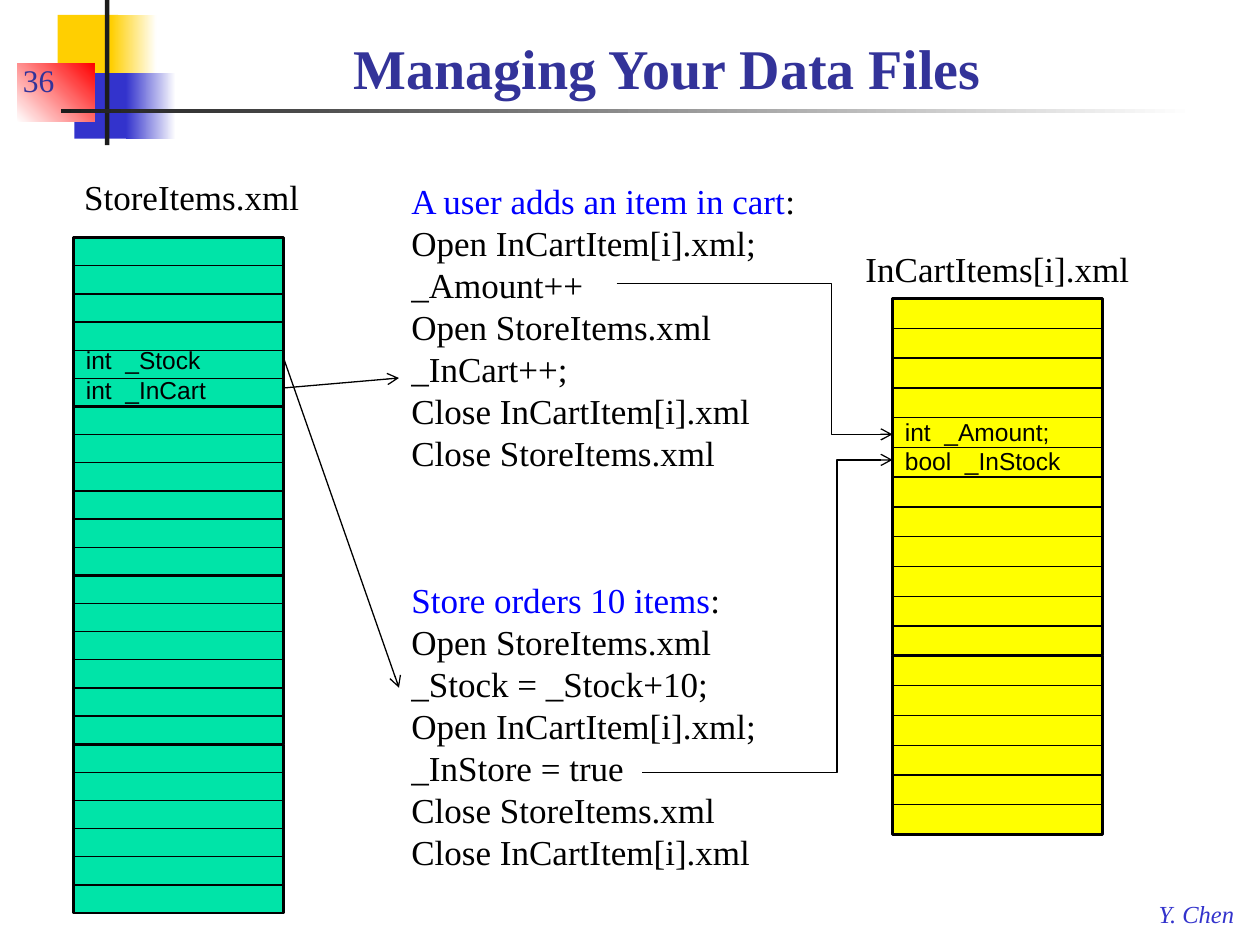
"""Build a slide on how store and cart data files are updated together."""
from lxml.etree import SubElement
from pptx import Presentation
from pptx.dml.color import RGBColor
from pptx.enum.shapes import MSO_CONNECTOR, MSO_SHAPE
from pptx.enum.text import MSO_ANCHOR, PP_ALIGN
from pptx.oxml.ns import qn
from pptx.util import Pt

THEME = {
    "serif": "Times New Roman", "sans": "Arial",
    "title": 32, "body": 20, "number": 18, "small": 14,
    "ink": "000000", "navy": "333399", "blue": "3333CC", "link": "0000FF",
    "gold": "FFCF01", "red": "FF0000", "dark": "1C1C1C", "white": "FFFFFF",
    "green": "00E4A8", "yellow": "FFFF00", "edge": 1.5, "rule": 0.75,
}
DECOR = [
    ((33, 8.5, 34.5, 37.5), ["gold"], 0),
    ((63.5, 8.5, 26, 37.5), ["gold", "white"], 0),
    ((42.5, 41.8, 33, 37.5), ["blue"], 0),
    ((72, 41.8, 28.5, 37.5), ["blue", "white"], 0),
    ((10, 36.2, 44, 33.5), ["white", "red"], 45),
    ((60, 0, 2.5, 83), ["dark"], 0),
    ((34.8, 62.3, 648, 2.2), ["dark", "white"], 0),
]
TITLE = "Managing Your Data Files"
STACKS = [
    {"left": 42, "top": 135.8, "high": 96.5, "count": 4, "fill": "green"},
    {"left": 510, "top": 170.6, "high": 102.1, "count": 3, "fill": "yellow"},
]
WIDTH, ROWS = 120, 6
FIELDS = [
    ((42, 193.7, WIDTH, 44), ["int  _Stock", "int  _InCart"]),
    ((510, 234.7, WIDTH, 41), ["int  _Amount;", "bool  _InStock"]),
]
STEPS = [
    ((228, 99, 235.5, 177), [
        [("A user adds an item in cart", "link"), (":", "ink")],
        "Open InCartItem[i].xml;", "_Amount++", "Open StoreItems.xml",
        "_InCart++;", "Close InCartItem[i].xml", "Close StoreItems.xml"]),
    ((228, 327, 212.5, 177), [
        [("Store orders 10 items", "link"), (":", "ink")],
        "Open StoreItems.xml", "_Stock = _Stock+10;", "Open InCartItem[i].xml;",
        "_InStore = true", "Close StoreItems.xml", "Close InCartItem[i].xml"]),
]
NAMES = [
    ((41, 96.5, 143.5, 31.5), "StoreItems.xml", PP_ALIGN.LEFT),
    ((487, 138, 166, 31.5), "InCartItems[i].xml", PP_ALIGN.CENTER),
]
ARROWS = [((162, 221.7), (228, 216)), ((162, 204.5), (228, 393))]
BENDS = [
    [(367, 441.3), (478.3, 441.3), (478.3, 262.8), (510, 262.8)],
    [(352.3, 162), (475, 162), (475, 248.2), (510, 248.2)],
]


def color(name):
    return RGBColor.from_string(THEME[name])


def lengths(values):
    return [Pt(v) for v in values]


def write(frame, lines, size="body", font="serif", ink="ink", bold=False,
          italic=False, align=PP_ALIGN.LEFT, anchor=MSO_ANCHOR.TOP, wrap=False):
    frame.word_wrap = wrap
    frame.vertical_anchor = anchor
    for i, line in enumerate(lines):
        para = frame.add_paragraph() if i else frame.paragraphs[0]
        para.alignment, para.line_spacing = align, 1.0
        for text, tone in [(line, ink)] if isinstance(line, str) else line:
            run = para.add_run()
            run.text = text
            run.font.name, run.font.size = THEME[font], Pt(THEME[size])
            run.font.bold, run.font.italic = bold, italic
            run.font.color.rgb = color(tone)


def label(slide, box, lines, **form):
    write(slide.shapes.add_textbox(*lengths(box)).text_frame, lines, **form)


def block(slide, box, tones, angle=0, edge=False):
    shape = slide.shapes.add_shape(MSO_SHAPE.RECTANGLE, *lengths(box))
    shape.shadow.inherit = False
    if len(tones) == 1:
        shape.fill.solid()
        shape.fill.fore_color.rgb = color(tones[0])
    else:
        shape.fill.gradient()
        shape.fill.gradient_angle = angle
        for stop, tone in zip(shape.fill.gradient_stops, tones):
            stop.color.rgb = color(tone)
    if edge:
        stroke(shape, "edge")
    else:
        shape.line.fill.background()


def stroke(shape, width, arrow=False):
    shape.line.color.rgb = color("ink")
    shape.line.width = Pt(THEME[width])
    if arrow:
        line = shape._element.spPr.find(qn("a:ln"))
        SubElement(line, qn("a:tailEnd"), type="arrow")


def link(slide, start, end, arrow=False):
    line = slide.shapes.add_connector(MSO_CONNECTOR.STRAIGHT, *lengths(start + end))
    stroke(line, "rule", arrow)
    SubElement(line._element.spPr, qn("a:effectLst"))


def bend(slide, points):
    first, *rest = [tuple(lengths(p)) for p in points]
    form = slide.shapes.build_freeform(*first)
    form.add_line_segments(rest, close=False)
    shape = form.convert_to_shape()
    shape.shadow.inherit = False
    shape.fill.background()
    stroke(shape, "rule", arrow=True)


def stack(slide, left, top, high, count, fill):
    for part in range(count):
        y = top + part * high
        block(slide, (left, y, WIDTH, high), [fill], edge=True)
        for row in range(1, ROWS):
            level = y + row * high / ROWS
            link(slide, (left, level), (left + WIDTH, level))


def main():
    deck = Presentation()
    deck.slide_width, deck.slide_height = Pt(720), Pt(540)
    slide = deck.slides.add_slide(deck.slide_layouts[5])
    for box, tones, angle in DECOR:
        block(slide, box, tones, angle)
    title = slide.shapes.title
    title.left, title.top, title.width, title.height = lengths((195, 12.2, 519, 49))
    write(title.text_frame, [TITLE], size="title", ink="navy", bold=True,
          anchor=MSO_ANCHOR.BOTTOM, wrap=True)
    label(slide, (6, 24, 54, 36), ["36"], size="number", ink="navy",
          anchor=MSO_ANCHOR.BOTTOM, wrap=True)
    label(slide, (655, 510, 59, 24), ["Y. Chen"], size="small", ink="blue", italic=True)
    for item in STACKS:
        stack(slide, **item)
    for box, name, align in NAMES:
        label(slide, box, [name], align=align)
    for box, lines in STEPS:
        label(slide, box, lines)
    for box, lines in FIELDS:
        label(slide, box, lines, size="small", font="sans", wrap=True)
    for start, end in ARROWS:
        link(slide, start, end, arrow=True)
    for points in BENDS:
        bend(slide, points)
    deck.save("out.pptx")


if __name__ == "__main__":
    main()
